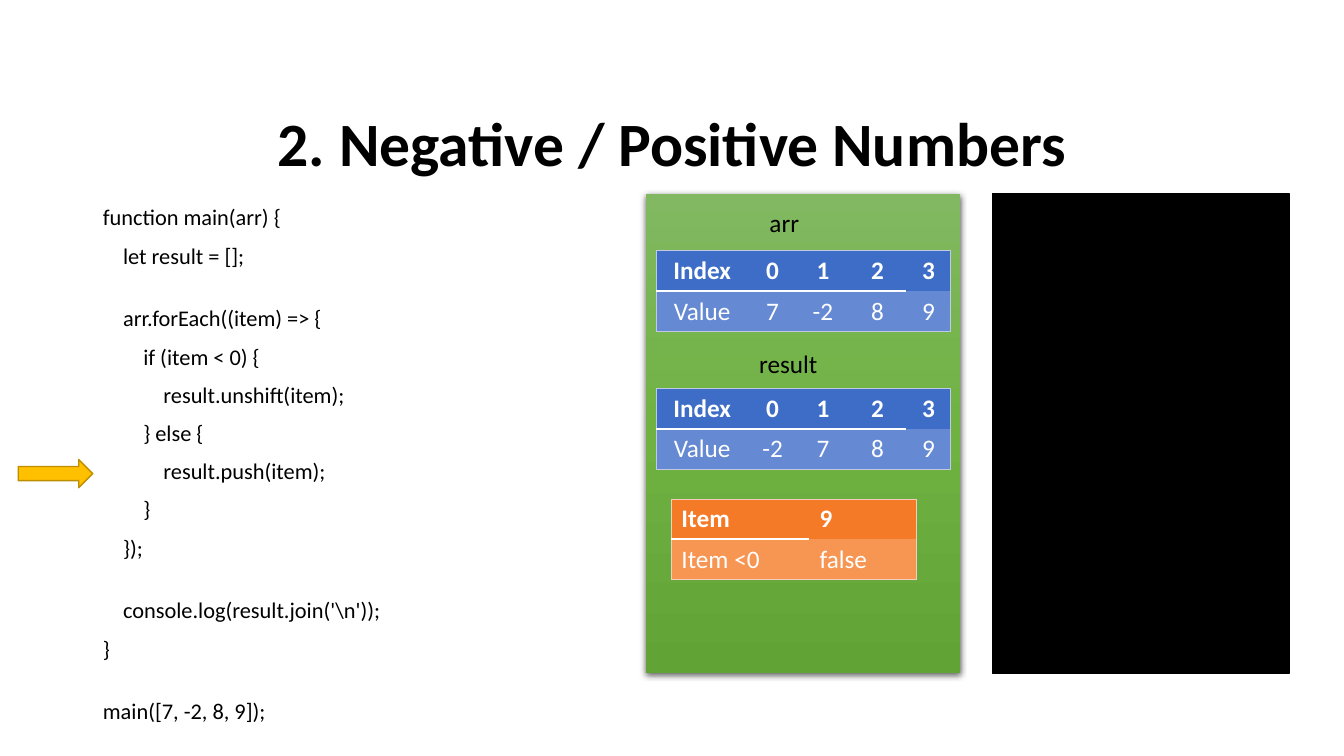
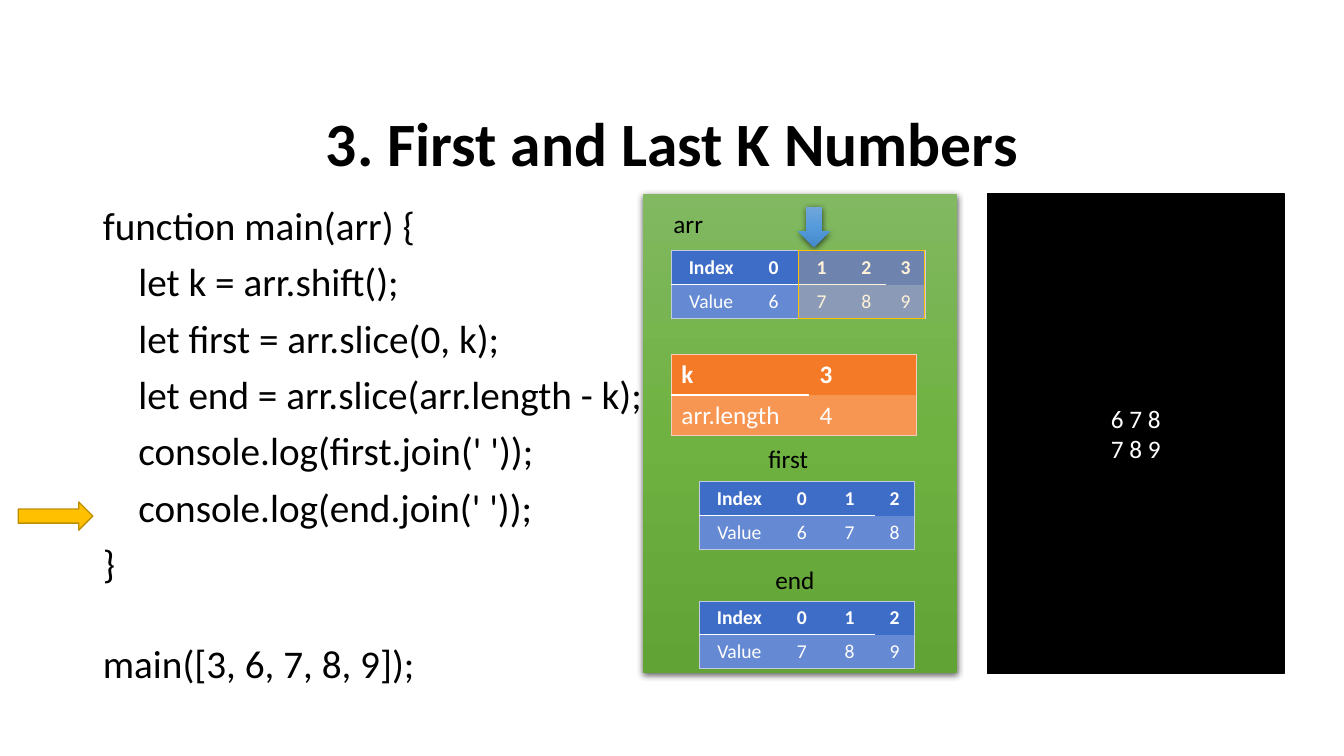
"""Build two slides that trace array exercises step by step."""
from copy import deepcopy
from dataclasses import dataclass

from pptx import Presentation
from pptx.dml.color import RGBColor
from pptx.enum.shapes import MSO_SHAPE
from pptx.enum.text import MSO_ANCHOR, MSO_AUTO_SIZE, PP_ALIGN
from pptx.oxml import parse_xml
from pptx.oxml.ns import nsdecls, qn
from pptx.util import Cm, Pt

RECT, RIGHT_ARROW, DOWN_ARROW = MSO_SHAPE.RECTANGLE, MSO_SHAPE.RIGHT_ARROW, MSO_SHAPE.DOWN_ARROW
TOP, MIDDLE = MSO_ANCHOR.TOP, MSO_ANCHOR.MIDDLE
LEFT, CENTER = PP_ALIGN.LEFT, PP_ALIGN.CENTER
NO_FIT = MSO_AUTO_SIZE.NONE

BLACK = RGBColor(0x00, 0x00, 0x00)
WHITE = RGBColor(0xFF, 0xFF, 0xFF)
GOLD = RGBColor(0xFF, 0xC0, 0x00)
DARK_GOLD = RGBColor(0xBD, 0x8E, 0x00)
PALE_GOLD = RGBColor(0xFF, 0xCC, 0x66)
GREENS = (RGBColor(0x81, 0xB8, 0x61), RGBColor(0x6F, 0xB2, 0x42), RGBColor(0x62, 0xA3, 0x36))
BLUES = (RGBColor(0x71, 0xA6, 0xDB), RGBColor(0x55, 0x9B, 0xDB), RGBColor(0x44, 0x8A, 0xCA))

FONT = "Calibri"
TITLE_FORMAT = {"name": FONT, "size": Pt(44), "bold": True}
TEXT_FORMAT = {"name": FONT, "size": Pt(18), "bold": False}
PLAIN_TABLE = "{2D5ABB26-0587-4C30-8999-92F81FD0307C}"
PANEL_TOP, PANEL_HEIGHT = 4.88, 12.09


@dataclass(frozen=True)
class TableStyle:
    """Colours and alignment of a kind of table."""
    head: RGBColor
    body: RGBColor
    border: RGBColor
    align: PP_ALIGN


ARRAY = TableStyle(RGBColor(0x3E, 0x6D, 0xC8), RGBColor(0x65, 0x8A, 0xD3),
                   RGBColor(0xC1, 0xC9, 0xE4), CENTER)
WATCH = TableStyle(RGBColor(0xF5, 0x7A, 0x27), RGBColor(0xF7, 0x95, 0x52),
                   RGBColor(0xF6, 0xCC, 0xBE), LEFT)
WIDE_COLS = (2.31, 1.24, 1.3, 1.45, 1.12)
NARROW_COLS = (2.01, 1.14, 1.27, 0.99, 0.99)
WATCH_COLS = (3.48, 2.69)


@dataclass(frozen=True)
class Grid:
    """A two-row table, with its place in centimetres."""
    left: float
    top: float
    cols: tuple[float, ...]
    rows: tuple[tuple[str, ...], tuple[str, ...]]
    style: TableStyle = ARRAY
    size: int = 18


@dataclass(frozen=True)
class Label:
    """The name of a variable, with its place in centimetres."""
    text: str
    left: float
    top: float


@dataclass(frozen=True)
class Exercise:
    """Everything that one slide shows."""
    title: str
    code: str
    code_size: int
    pointer_top: float
    panel_left: float
    console_left: float
    output: tuple[str, ...]
    labels: tuple[Label, ...]
    grids: tuple[Grid, ...]
    marked: bool = False


def array_rows(*values: str, last: str = "") -> tuple[tuple[str, ...], tuple[str, ...]]:
    """Number the values of an array."""
    return ("Index", *map(str, range(len(values)))), ("Value", *values)


EXERCISES = (
    Exercise(
        "2. Negative / Positive Numbers",
        r"""function main(arr) {
    let result = [];

    arr.forEach((item) => {
        if (item < 0) {
            result.unshift(item);
        } else {
            result.push(item);
        }
    });

    console.log(result.join('\n'));
}

main([7, -2, 8, 9]);""",
        16, 11.58, 16.28, 25.02, (),
        (Label("arr", 16.54, 5.11), Label("result", 16.64, 8.66)),
        (Grid(16.54, 6.32, WIDE_COLS, array_rows("7", "-2", "8", "9")),
         Grid(16.54, 9.78, WIDE_COLS, array_rows("-2", "7", "8", "9")),
         Grid(16.92, 12.57, WATCH_COLS, (("Item", "9"), ("Item <0", "false")), WATCH)),
    ),
    Exercise(
        "3. First and Last K Numbers",
        """function main(arr) {
    let k = arr.shift();
    let first = arr.slice(0, k);
    let end = arr.slice(arr.length - k);
    console.log(first.join(' '));
    console.log(end.join(' '));
}

main([3, 6, 7, 8, 9]);""",
        28, 12.65, 16.21, 24.89, ("6 7 8", "7 8 9"),
        (Label("arr", 14.12, 5.13), Label("first", 16.64, 11.05), Label("end", 16.81, 14.1)),
        (Grid(16.92, 6.32, NARROW_COLS, array_rows("6", "7", "8", "9"), size=14),
         Grid(16.92, 8.94, WATCH_COLS, (("k", "3"), ("arr.length", "4")), WATCH),
         Grid(17.63, 12.14, NARROW_COLS[:4], array_rows("6", "7", "8"), size=14),
         Grid(17.63, 15.14, NARROW_COLS[:4], array_rows("7", "8", "9"), size=14)),
        marked=True,
    ),
)


def write(p, text: str, color: RGBColor, align: PP_ALIGN, **changes) -> None:
    """Put formatted text into a paragraph."""
    p.alignment = align
    r = p.add_run()
    r.text = text
    for name, value in {**TEXT_FORMAT, **changes}.items():
        setattr(r.font, name, value)
    r.font.color.rgb = color


def place(sp, left: float, top: float, width: float, height: float) -> None:
    """Move and size a placeholder."""
    box = {"left": left, "top": top, "width": width, "height": height}
    for name, value in box.items():
        setattr(sp, name, Cm(value))


def add_shape(slide, kind: MSO_SHAPE, left: float, top: float, width: float, height: float,
              fill: RGBColor | None = None, line: RGBColor | None = None, weight: float = 1):
    """Add a flat preset shape."""
    sp = slide.shapes.add_shape(kind, Cm(left), Cm(top), Cm(width), Cm(height))
    sp.shadow.inherit = False
    if fill is not None:
        sp.fill.solid()
        sp.fill.fore_color.rgb = fill
    if line is None:
        sp.line.fill.background()
    else:
        sp.line.color.rgb = line
        sp.line.width = Pt(weight)
    return sp


def add_raised(slide, kind: MSO_SHAPE, left: float, top: float, width: float, height: float,
               colors: tuple[RGBColor, ...]) -> None:
    """Add a shape with a vertical gradient and a soft shadow."""
    sp = add_shape(slide, kind, left, top, width, height)
    sp.fill.gradient()
    sp.fill.gradient_angle = 270
    props = sp._element.spPr
    stops = props.find(".//" + qn("a:gsLst"))
    stops.insert(1, deepcopy(stops[0]))
    for i, (stop, color) in enumerate(zip(sp.fill.gradient_stops, colors)):
        stop.color.rgb = color
        stop.position = i / 2
    props.find(qn("a:effectLst")).append(parse_xml(
        f'<a:outerShdw {nsdecls("a")} blurRad="{Pt(4.5)}" dist="{Pt(1.5)}" dir="5400000" '
        'algn="ctr" rotWithShape="0"><a:srgbClr val="000000"><a:alpha val="63000"/>'
        '</a:srgbClr></a:outerShdw>'))


def add_border(cell, side: str, color: RGBColor, weight: float) -> None:
    """Draw one side of a cell."""
    cell._tc.get_or_add_tcPr().append(parse_xml(
        f'<a:ln{side} {nsdecls("a")} w="{Pt(weight)}"><a:solidFill>'
        f'<a:srgbClr val="{color}"/></a:solidFill></a:ln{side}>'))


def add_grid(slide, grid: Grid) -> None:
    """Add a table with a thin frame and a rule under its head."""
    style, last = grid.style, len(grid.cols) - 1
    height = 1.02 if grid.size == 18 else 0.85
    frame = slide.shapes.add_table(2, last + 1, Cm(grid.left), Cm(grid.top),
                                   Cm(sum(grid.cols)), Cm(2 * height))
    table = frame.table
    table._tbl.tblPr.find(qn("a:tableStyleId")).text = PLAIN_TABLE
    for column, width in zip(table.columns, grid.cols):
        column.width = Cm(width)
    for i, row in enumerate(grid.rows):
        table.rows[i].height = Cm(height)
        for j, text in enumerate(row):
            cell = table.cell(i, j)
            sides = {"L": j == 0, "R": j == last, "T": i == 0, "B": i == 1}
            for side, outer in sides.items():
                if outer:
                    add_border(cell, side, style.border, 0.5)
                elif side == "B" and j < last:
                    add_border(cell, side, WHITE, 1.5)
            cell.fill.solid()
            cell.fill.fore_color.rgb = style.body if i else style.head
            write(cell.text_frame.paragraphs[0], text, WHITE, style.align,
                  size=Pt(grid.size), bold=i == 0)


def add_label(slide, label: Label) -> None:
    """Add the centred name of a variable."""
    tf = slide.shapes.add_textbox(Cm(label.left), Cm(label.top), Cm(6.45), Cm(1.02)).text_frame
    tf.word_wrap = True
    write(tf.paragraphs[0], label.text, BLACK, CENTER)


def fill_title(sp, title: str) -> None:
    """Write the title on the second line of its placeholder."""
    place(sp, 2.34, 1.02, 29.21, 3.68)
    tf = sp.text_frame
    tf.auto_size, tf.vertical_anchor = NO_FIT, MIDDLE
    p = tf.paragraphs[0]
    p.line_spacing = 0.9
    p.font.size = TITLE_FORMAT["size"]
    p.add_line_break()
    write(p, title, BLACK, CENTER, **TITLE_FORMAT)


def fill_code(sp, code: str, size: int) -> None:
    """Write code lines, turning each empty line into space before the next."""
    place(sp, 2.34, 5.08, 14.71, 13.74)
    tf = sp.text_frame
    tf.auto_size, tf.vertical_anchor = NO_FIT, TOP
    p, gap = tf.paragraphs[0], 0.0
    for line in code.split("\n"):
        if not line:
            gap += 1.1 * size
            continue
        if p.runs:
            p = tf.add_paragraph()
        props = p._p.get_or_add_pPr()
        props.set("marL", "0")
        props.set("indent", "0")
        props.append(parse_xml(f'<a:buNone {nsdecls("a")}/>'))
        p.line_spacing = 0.9
        p.space_before = Pt(gap)
        write(p, line, BLACK, LEFT, size=Pt(size))
        gap = 10


def add_exercise(prs, ex: Exercise) -> None:
    """Add the slide of one exercise."""
    slide = prs.slides.add_slide(prs.slide_layouts[1])
    fill_title(slide.shapes.title, ex.title)
    fill_code(slide.placeholders[1], ex.code, ex.code_size)
    add_raised(slide, RECT, ex.panel_left, PANEL_TOP, 7.92, PANEL_HEIGHT, GREENS)
    add_shape(slide, RIGHT_ARROW, 0.46, ex.pointer_top, 1.88, 0.71, GOLD, DARK_GOLD)
    console = add_shape(slide, RECT, ex.console_left, PANEL_TOP, 7.47, PANEL_HEIGHT, BLACK, BLACK)
    tf = console.text_frame
    tf.vertical_anchor = MIDDLE
    for i, line in enumerate(ex.output):
        write(tf.add_paragraph() if i else tf.paragraphs[0], line, WHITE, CENTER)
    for label in ex.labels:
        add_label(slide, label)
    for grid in ex.grids:
        add_grid(slide, grid)
    if ex.marked:
        add_raised(slide, DOWN_ARROW, 20.12, 5.21, 0.79, 1.02, BLUES)
        mark = add_shape(slide, RECT, 20.12, 6.32, 3.18, 1.7, PALE_GOLD, GOLD, 0.5)
        color = mark._element.spPr.find(qn("a:solidFill"))[0]
        color.append(parse_xml(f'<a:alpha {nsdecls("a")} val="25000"/>'))


def main() -> None:
    """Build and save the presentation."""
    prs = Presentation()
    prs.slide_width, prs.slide_height = Cm(33.87), Cm(19.05)
    for ex in EXERCISES:
        add_exercise(prs, ex)
    prs.save("out.pptx")


if __name__ == "__main__":
    main()
